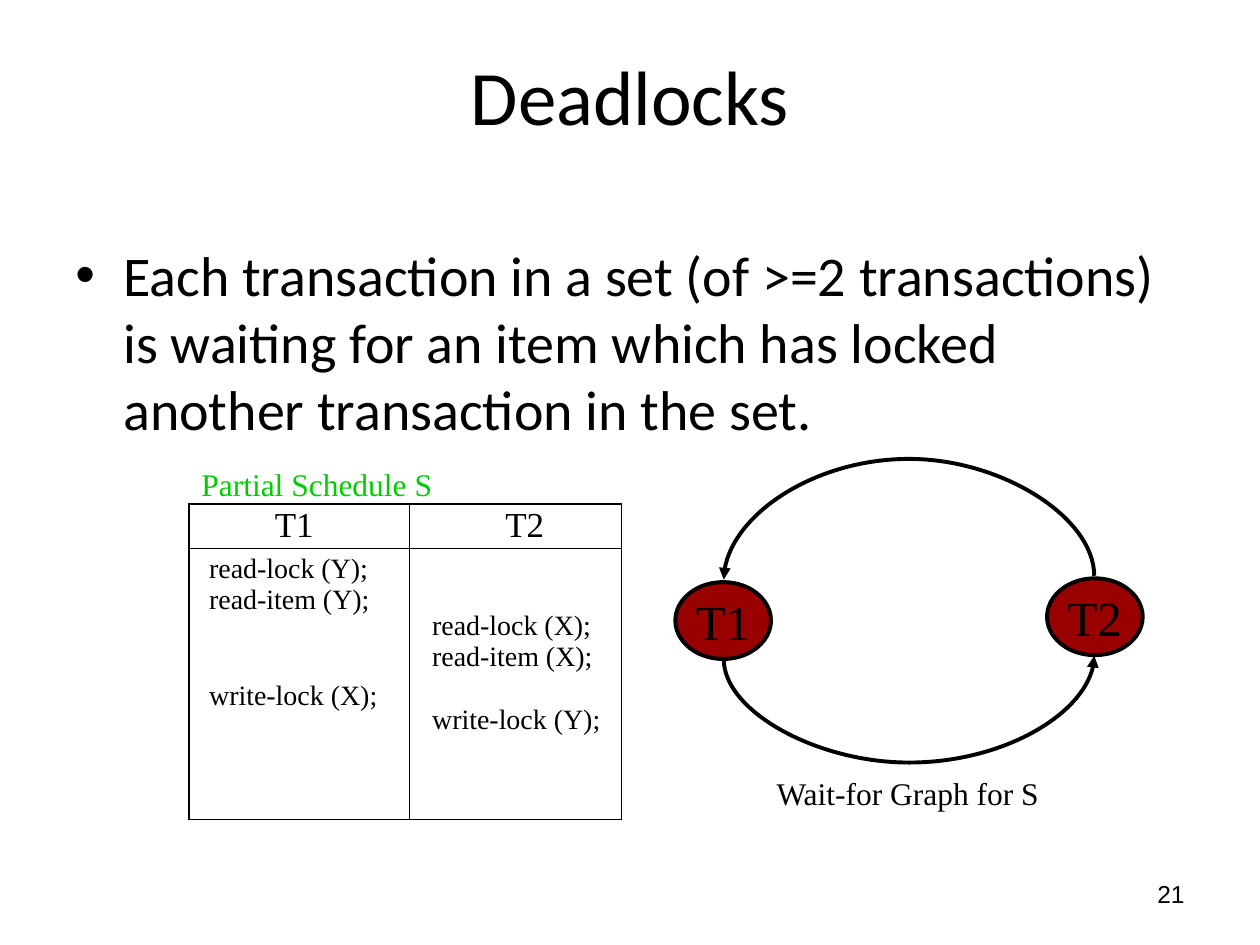
from lxml import etree
from pptx import Presentation
from pptx import util as u
from pptx.dml.color import RGBColor
from pptx.enum import shapes, text
from pptx.oxml.ns import qn

# The page is a grid of 100 columns by 75 rows
COLUMNS, ROWS = 100, 75
CELL = u.Inches(0.1)
BLACK = RGBColor(0x00, 0x00, 0x00)
GREEN = RGBColor(0x00, 0xCC, 0x00)
RED = RGBColor(0x99, 0x00, 0x00)
SERIF = "Times New Roman"
LEFT, CENTER, RIGHT = text.PP_ALIGN.LEFT, text.PP_ALIGN.CENTER, text.PP_ALIGN.RIGHT
TOP, MIDDLE = text.MSO_ANCHOR.TOP, text.MSO_ANCHOR.MIDDLE


def grid(*cells):
    return [u.Emu(round(cell * CELL)) for cell in cells]


def add_node(parent, tag, **attributes):
    return etree.SubElement(parent, qn(tag), attributes)


def write(para, words, size=18, font=SERIF, color=BLACK, align=LEFT, before=0):
    para.alignment = align
    para.space_before = u.Pt(before)
    span = para.add_run()
    span.text = words
    span.font.size = u.Pt(size)
    span.font.name = font
    span.font.color.rgb = color


def add_text(page, area, words, anchor=TOP, wrap=True, bullet=False, **look):
    box = page.shapes.add_textbox(*grid(*area))
    box.text_frame.word_wrap = wrap
    box.text_frame.vertical_anchor = anchor
    para = box.text_frame.paragraphs[0]
    write(para, words, **look)
    if bullet:
        properties = para._p.get_or_add_pPr()
        indent = u.Inches(0.38)
        properties.set("marL", str(indent))
        properties.set("indent", str(-indent))
        add_node(properties, "a:buFont", typeface="Arial")
        add_node(properties, "a:buChar", char="•")


def add_transaction(page, column, row, name):
    oval = page.shapes.add_shape(shapes.MSO_SHAPE.OVAL, *grid(column, row, 7.6, 6.1))
    oval.shadow.inherit = False
    oval.fill.solid()
    oval.fill.fore_color.rgb = RED
    oval.line.color.rgb = BLACK
    oval.line.width = u.Pt(2.25)
    oval.text_frame.word_wrap = False
    oval.text_frame.vertical_anchor = MIDDLE
    write(oval.text_frame.paragraphs[0], name, size=28, align=CENTER)


def add_wait_arc(page, middle_row, reach, turn):
    """Curved arrow between the nodes, bulging by reach rows."""
    middle, span, drop = 72.15, 29.4, 0.3
    arc = page.shapes.add_connector(
        shapes.MSO_CONNECTOR.CURVE,
        *grid(middle + drop / 2, middle_row + span / 2,
              middle - drop / 2, middle_row - span / 2))
    arc.line.color.rgb = BLACK
    arc.line.width = u.Pt(2.25)
    properties = arc._element.spPr
    properties.find(qn("a:xfrm")).set("rot", str(turn * 60000))
    guides = properties.find(qn("a:prstGeom")).get_or_add_avLst()
    bend = round(-reach / drop * 100000)
    add_node(guides, "a:gd", name="adj1", fmla=f"val {bend}")
    add_node(arc.line._get_or_add_ln(), "a:tailEnd", type="triangle")
    add_node(properties, "a:effectLst")


def add_borders(cell):
    properties = cell._tc.get_or_add_tcPr()
    for place, side in enumerate(("a:lnL", "a:lnR", "a:lnT", "a:lnB")):
        edge = add_node(properties, side, w=str(u.Pt(0.75)))
        fill = add_node(edge, "a:solidFill")
        add_node(fill, "a:srgbClr", val=str(BLACK))
        properties.insert(place, edge)


def fill_cell(cell, lines, margins, **look):
    """Lines are pairs of wording and the space before it in points."""
    cell.fill.background()
    add_borders(cell)
    (cell.margin_left, cell.margin_top,
     cell.margin_right, cell.margin_bottom) = grid(*margins)
    for number, (words, before) in enumerate(lines):
        frame = cell.text_frame
        para = frame.add_paragraph() if number else frame.paragraphs[0]
        write(para, words, before=before, **look)


def add_schedule(page):
    columns = [
        # name, width, header margins, body margins, steps
        ("T1", 17.5, (1.6, 0.2, 2.4, 0), (1.6, 0.4, 0.2, 0),
         [("read-lock (Y);", 0), ("read-item (Y);", 0), ("write-lock (X);", 36.8)]),
        ("T2", 16.8, (1.8, 0.2, 0.3, 0), (1.8, 4.9, 0.2, 0),
         [("read-lock (X);", 0), ("read-item (X);", 0), ("write-lock (Y);", 18.4)]),
    ]
    table = page.shapes.add_table(2, 2, *grid(15, 40, 34.3, 24.9)).table
    table.first_row = table.horz_banding = False
    table.rows[0].height, table.rows[1].height = grid(3.4, 21.5)
    for index, (name, width, head, body, steps) in enumerate(columns):
        table.columns[index].width = grid(width)[0]
        fill_cell(table.cell(0, index), [(name, 0)], head, size=20, align=CENTER)
        fill_cell(table.cell(1, index), steps, body, size=16)


def main():
    deck = Presentation()
    deck.slide_width, deck.slide_height = grid(COLUMNS, ROWS)
    page = deck.slides.add_slide(deck.slide_layouts[6])

    # Title, statement and page number
    add_text(page, (5, 2.5, 90, 10), "Deadlocks", anchor=MIDDLE,
             size=44, font="Calibri", align=CENTER)
    add_text(page, (5, 18.6, 90, 19),
             "Each transaction in a set (of >=2 transactions) is waiting for an "
             "item which has locked another transaction in the set.",
             bullet=True, size=32, font="Calibri")
    add_text(page, (71.7, 68.3, 23.3, 5.2), "21", anchor=MIDDLE,
             size=14, font="Arial", align=RIGHT)

    # Partial schedule
    add_text(page, (15, 36.4, 20.3, 4), "Partial Schedule S", wrap=False, color=GREEN)
    add_schedule(page)

    # Wait-for graph
    add_transaction(page, 53.6, 46.2, "T1")
    add_transaction(page, 83.1, 45.9, "T2")
    add_wait_arc(page, 52.2, 8.2, 90)
    add_wait_arc(page, 45.85, 9.3, 270)
    add_text(page, (53.9, 60.9, 36.3, 4), "Wait-for Graph for S", align=CENTER)

    deck.save("out.pptx")


main()
